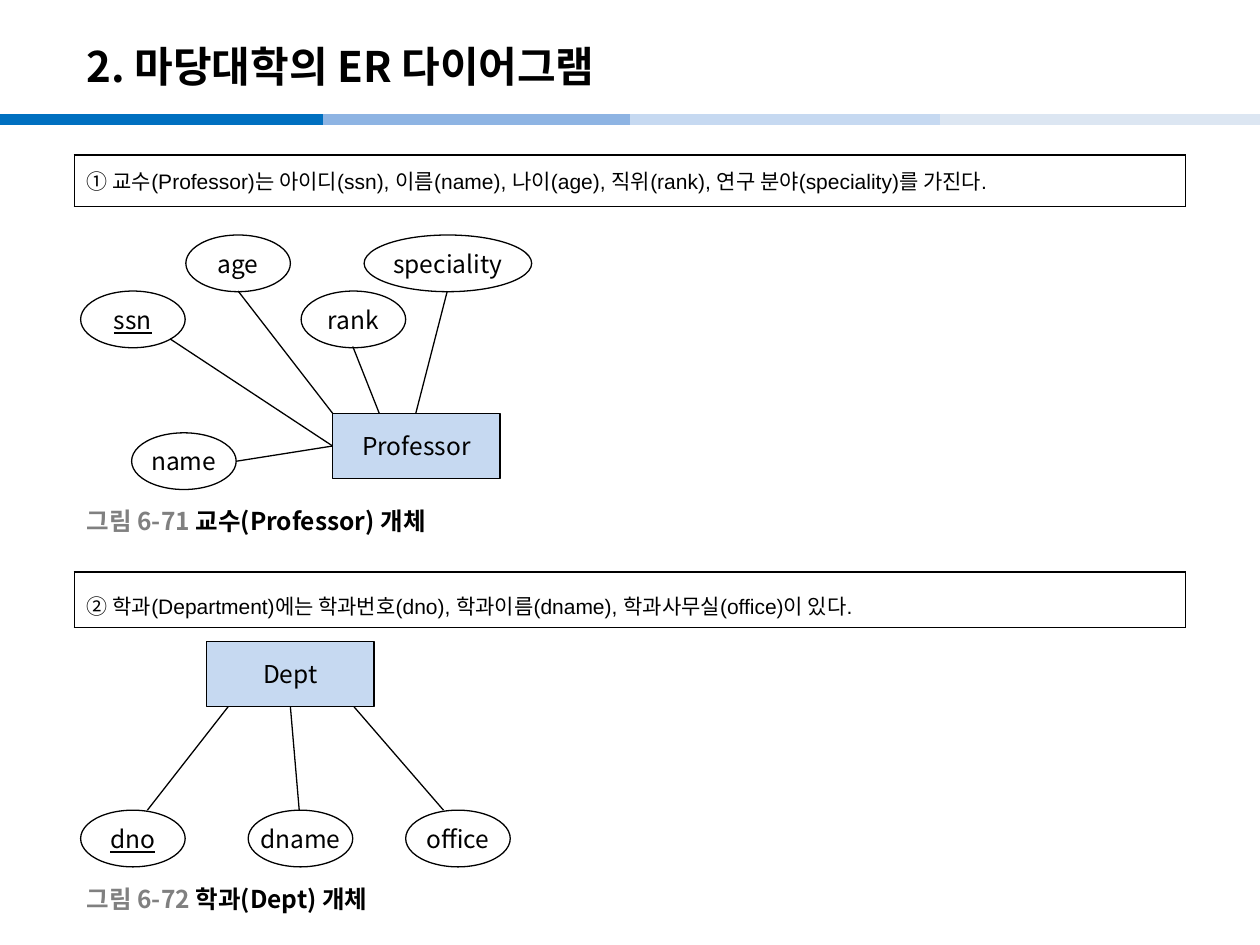
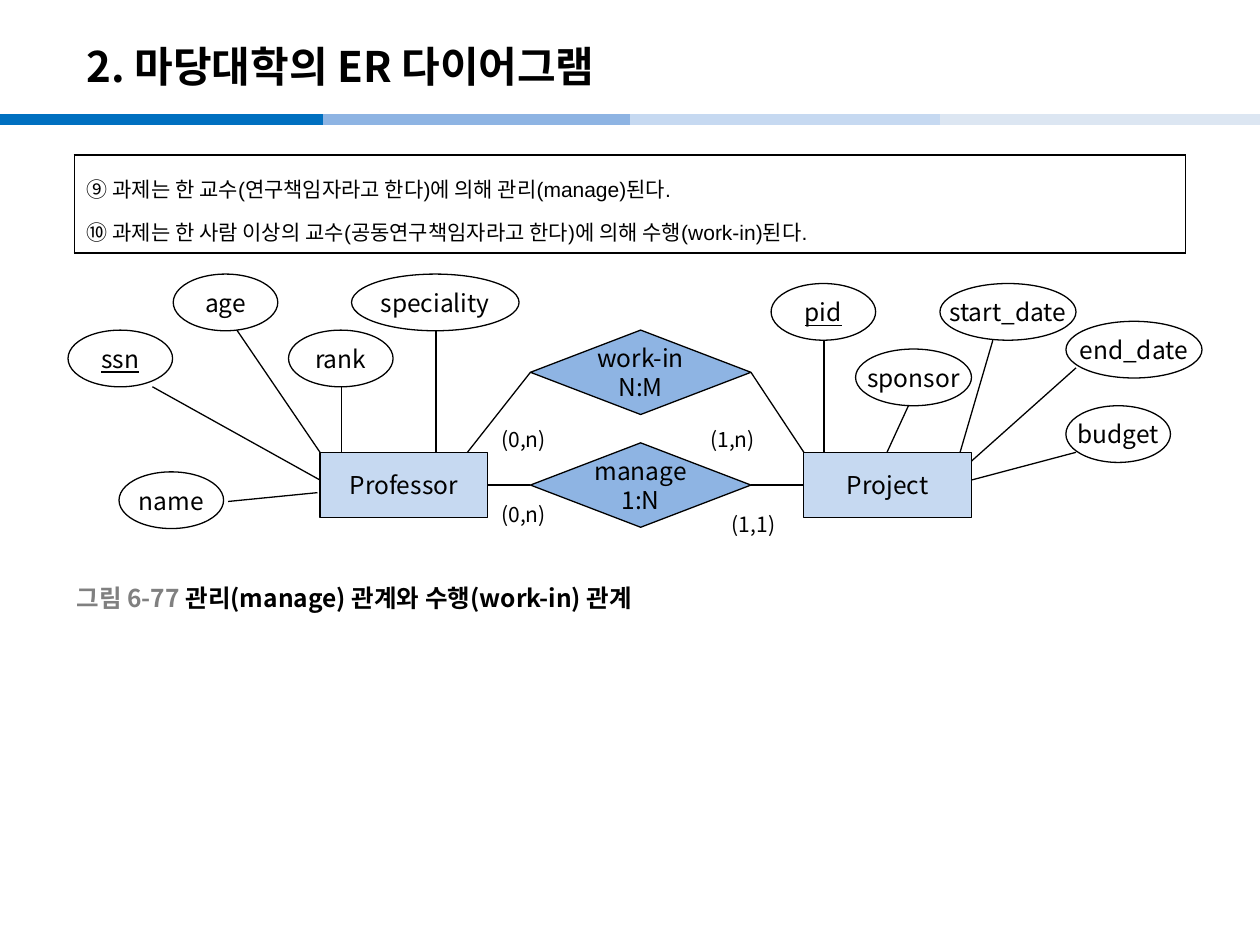
"""Build two slides of entity-relationship diagrams for a university database."""
from lxml.etree import SubElement
from pptx import Presentation
from pptx.dml.color import RGBColor
from pptx.enum.shapes import MSO_CONNECTOR, MSO_SHAPE
from pptx.enum.text import MSO_ANCHOR, PP_ALIGN
from pptx.oxml.ns import qn
from pptx.util import Inches, Pt

COLORS = {
    "ink": "000000", "paper": "FFFFFF", "label": "808080",
    "band 1": "0070C0", "band 2": "8EB4E3", "band 3": "C6D9F1", "band 4": "DCE6F2",
    "entity": "C6D9F1", "relation": "8EB4E3",
}
FONT = "Noto Sans CJK KR"
TITLE = "2. 마당대학의 ER 다이어그램"
BAND_LEFTS = [0, 25.6, 50, 74.6]
KEYS = {"ssn", "dno", "pid"}
KINDS = {
    "entity": (MSO_SHAPE.RECTANGLE, "entity", 13.3, 5.2),
    "attribute": (MSO_SHAPE.OVAL, "paper", 8.3, 4.5),
    "relation": (MSO_SHAPE.DIAMOND, "relation", 17.5, 6.7),
}
TOP, LEFT, BOTTOM, RIGHT = range(4)

deck = Presentation()
deck.slide_width, deck.slide_height = Inches(10), Inches(7.5)
COLUMN, ROW = deck.slide_width / 100, deck.slide_height / 75


def grid(x, y, *size):
    """Turn pairs of columns and rows into lengths."""
    return [round(n * unit) for n, unit in zip((x, y, *size), (COLUMN, ROW) * 2)]


def write(frame, text, lead="", size=14, font=FONT, bold=False, underline=False,
          align=PP_ALIGN.LEFT, spacing=None, wrap=False):
    """Write the lines of a text, the first one after a grey lead."""
    frame.word_wrap = wrap
    for number, line in enumerate(text.split("\n")):
        para = frame.add_paragraph() if number else frame.paragraphs[0]
        para.alignment = align
        para.line_spacing = spacing
        spans = [(line, "ink")]
        if lead and not number:
            spans.insert(0, (lead, "label"))
        for words, color in spans:
            span = para.add_run()
            span.text = words
            span.font.size = Pt(size)
            span.font.name = font
            span.font.bold = bold
            span.font.underline = underline
            span.font.color.rgb = RGBColor.from_string(COLORS[color])
            SubElement(span.font._element, qn("a:ea"), typeface=FONT)


professor = [
    ("Professor", "entity", 0, 0), ("age", "attribute", -11.65, -14.15),
    ("ssn", "attribute", -20, -9.7), ("rank", "attribute", -2.5, -9.7),
    ("speciality", "attribute", 2.5, -14.15, 13.3), ("name", "attribute", -15.95, 1.55),
]

pages = [
    {
        "rules": [
            (12.3, 4.1, "① 교수(Professor)는 아이디(ssn), 이름(name), 나이(age), 직위(rank), 연구 분야(speciality)를 가진다.", None),
            (45.4, 4.4, "② 학과(Department)에는 학과번호(dno), 학과이름(dname), 학과사무실(office)이 있다.", 1.4),
        ],
        "professor": (26.4, 32.8),
        "nodes": [
            ("Dept", "entity", 16.4, 50.9), ("dno", "attribute", 6.4, 64.3),
            ("dname", "attribute", 19.7, 64.3), ("office", "attribute", 32.2, 64.3),
        ],
        "links": [
            ((18.8, 36.6), ("Professor", LEFT)), ((13.5, 26.9), ("Professor", LEFT)),
            ((18.9, 23.1), (26.4, 32.8)), ((28, 27.5), (30.1, 32.8)),
            ((35.5, 23.1), (33, 32.8)), ((18.1, 56.1), (11.7, 64.3)),
            (("Dept", BOTTOM), (23.75, 64.3)), ((28.1, 56.1), (35.2, 64.3)),
        ],
        "captions": [
            (5.9, 39.8, "그림 6-71 ", "교수(Professor) 개체"),
            (5.9, 69.8, "그림 6-72 ", "학과(Dept) 개체"),
        ],
        "counts": [],
    },
    {
        "rules": [
            (12.3, 7.8, "⑨ 과제는 한 교수(연구책임자라고 한다)에 의해 관리(manage)된다.\n"
                        "⑩ 과제는 한 사람 이상의 교수(공동연구책임자라고 한다)에 의해 수행(work-in)된다.", 1.4),
        ],
        "professor": (25.4, 35.9),
        "nodes": [
            ("Project", "entity", 63.8, 35.9), ("work-in\nN:M", "relation", 42.1, 26.2),
            ("manage\n1:N", "relation", 42.1, 35.15), ("pid", "attribute", 61.2, 22.5),
            ("sponsor", "attribute", 67.9, 27.7, 9.2),
            ("end_date", "attribute", 84.6, 25.5, 10.8),
            ("start_date", "attribute", 74.6, 22.5, 10.8), ("budget", "attribute", 84.6, 32.2),
        ],
        "links": [
            ((12.1, 30.7), (25.4, 38.1)), ((18.8, 26.2), (25.4, 35.9)),
            ((27.1, 30.7), (27.1, 35.9)), ((34.6, 26.2), (34.6, 35.9)),
            ((18.1, 39.8), (25.2, 39.1)), ((65.4, 27), (65.4, 35.9)),
            ((72.1, 32.2), (70.4, 35.9)), ((78.8, 27), (76.2, 35.9)),
            ((85.4, 29.2), (77.1, 36.6)), ((85.4, 35.9), (77.1, 38.1)),
            (("work-in", LEFT), (37.1, 35.9)), (("work-in", RIGHT), (63.8, 35.9)),
            (("Professor", RIGHT), ("manage", LEFT)), (("manage", RIGHT), ("Project", LEFT)),
        ],
        "captions": [(5.1, 45.9, "그림 6-77 ", "관리(manage) 관계와 수행(work-in) 관계")],
        "counts": [(38.8, 33.4, "(0,n)"), (38.8, 39.3, "(0,n)"),
                   (55.4, 33.4, "(1,n)"), (57.1, 40.1, "(1,1)")],
    },
]

for content in pages:
    page = deck.slides.add_slide(deck.slide_layouts[6])
    box = page.shapes.add_textbox(*grid(5.9, 2.2, 82.7, 6))
    box.text_frame.vertical_anchor = MSO_ANCHOR.MIDDLE
    write(box.text_frame, TITLE, size=24, bold=True, wrap=True)

    for top, height, text, spacing in content["rules"]:
        table = page.shapes.add_table(1, 1, *grid(5.9, top, 88.2, height)).table
        table.first_row = table.horz_banding = False
        cell = table.cell(0, 0)
        cell.vertical_anchor = MSO_ANCHOR.TOP if spacing else MSO_ANCHOR.MIDDLE
        write(cell.text_frame, text, size=12, font="Arial", spacing=spacing, wrap=True)
        for side in ("a:lnL", "a:lnR", "a:lnT", "a:lnB"):
            border = SubElement(cell._tc.get_or_add_tcPr(), qn(side), w=str(Pt(1)))
            SubElement(SubElement(border, qn("a:solidFill")), qn("a:srgbClr"), val=COLORS["ink"])
        cell.fill.solid()
        cell.fill.fore_color.rgb = RGBColor.from_string(COLORS["paper"])

    nodes = {}
    left, top = content["professor"]
    cluster = [(name, kind, left + x, top + y, *width) for name, kind, x, y, *width in professor]
    for text, kind, x, y, *width in cluster + content["nodes"]:
        preset, fill, usual_width, height = KINDS[kind]
        node = page.shapes.add_shape(preset, *grid(x, y, width[0] if width else usual_width, height))
        node.shadow.inherit = False
        node.fill.solid()
        node.fill.fore_color.rgb = RGBColor.from_string(COLORS[fill])
        node.line.color.rgb = RGBColor.from_string(COLORS["ink"])
        node.line.width = Pt(0.75)
        node.text_frame.vertical_anchor = MSO_ANCHOR.MIDDLE
        write(node.text_frame, text, align=PP_ALIGN.CENTER, underline=text in KEYS)
        nodes[text.split("\n")[0]] = node

    bands = [((x, 9.5), (x + 25.6, 9.5), f"band {number}", 6)
             for number, x in enumerate(BAND_LEFTS, 1)]
    links = [(start, end, "ink", 0.75) for start, end in content["links"]]
    for start, end, color, weight in bands + links:
        line = page.shapes.add_connector(MSO_CONNECTOR.STRAIGHT, 0, 0, 0, 0)
        if start[0] in nodes:
            line.begin_connect(nodes[start[0]], start[1])
        else:
            line.begin_x, line.begin_y = grid(*start)
        if end[0] in nodes:
            line.end_connect(nodes[end[0]], end[1])
        else:
            line.end_x, line.end_y = grid(*end)
        line.line.color.rgb = RGBColor.from_string(COLORS[color])
        line.line.width = Pt(weight)
        SubElement(line._element.spPr, qn("a:effectLst"))

    for x, y, lead, text in content["captions"]:
        box = page.shapes.add_textbox(*grid(x, y, 60, 3.1))
        box.text_frame.vertical_anchor = MSO_ANCHOR.MIDDLE
        write(box.text_frame, text, lead=lead, bold=True, wrap=True)

    for x, y, text in content["counts"]:
        box = page.shapes.add_textbox(*grid(x, y, 5.8, 3))
        write(box.text_frame, text, size=12, wrap=True)

deck.save("out.pptx")
